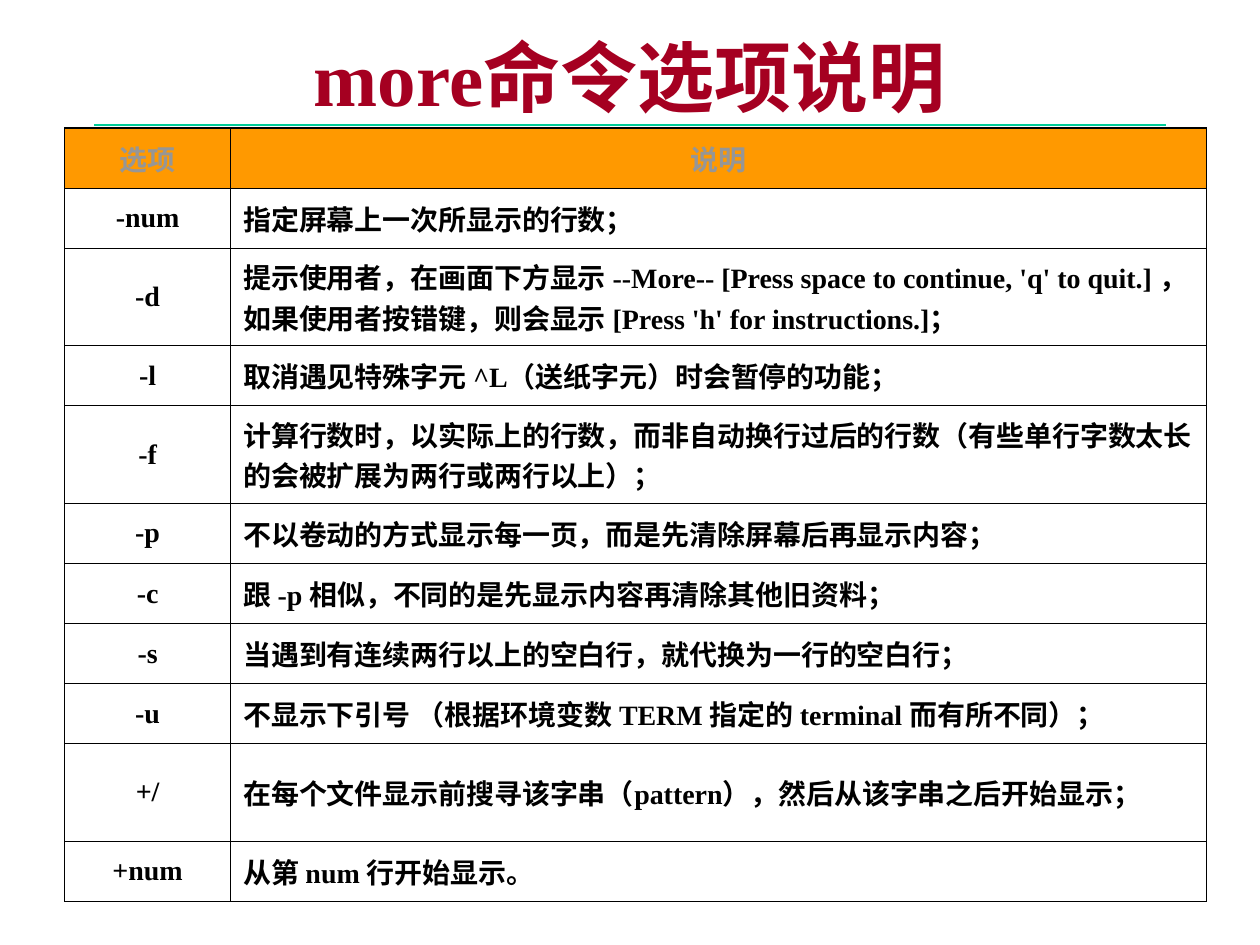
"""Build a slide with a table of the options of the more command."""
from lxml.etree import SubElement
from pptx import Presentation
from pptx.dml.color import RGBColor
from pptx.enum.shapes import MSO_CONNECTOR
from pptx.enum.text import MSO_ANCHOR, PP_ALIGN
from pptx.oxml.ns import qn
from pptx.util import Cm, Pt

TITLE = "more命令选项说明"
HEAD = ("选项", "说明")
ROWS = [
    ("-num", "指定屏幕上一次所显示的行数；"),
    ("-d", "提示使用者，在画面下方显示 --More-- [Press space to continue, 'q' to quit.] "
           "，如果使用者按错键，则会显示 [Press 'h' for instructions.]；"),
    ("-l", "取消遇见特殊字元 ^L（送纸字元）时会暂停的功能；"),
    ("-f", "计算行数时，以实际上的行数，而非自动换行过后的行数"
           "（有些单行字数太长的会被扩展为两行或两行以上）；"),
    ("-p", "不以卷动的方式显示每一页，而是先清除屏幕后再显示内容；"),
    ("-c", "跟 -p 相似，不同的是先显示内容再清除其他旧资料；"),
    ("-s", "当遇到有连续两行以上的空白行，就代换为一行的空白行；"),
    ("-u", "不显示下引号 （根据环境变数 TERM 指定的 terminal 而有所不同）；"),
    ("+/", "在每个文件显示前搜寻该字串（pattern），然后从该字串之后开始显示；"),
    ("+num", "从第 num 行开始显示。"),
]
TALL = {"-d", "-f", "+/"}
WIDTHS = (3.35, 19.66)
LOW, HIGH = 1.21, 1.97
THIN, THICK = 0.45, 0.96
FONT = "Times New Roman"
BLACK, RED, GREEN, GRAY, ORANGE = "000000", "A50021", "00CC99", "969696", "FF9900"


def color(code):
    return RGBColor.from_string(code)


def write(frame, text, size, code, align):
    frame.word_wrap = True
    para = frame.paragraphs[0]
    para.text = text
    para.alignment = align
    font = para.font
    font.name, font.size, font.bold = FONT, Pt(size), True
    font.color.rgb = color(code)


def border(cell, top, base):
    props = cell._tc.get_or_add_tcPr()
    for side, width in (("L", THIN), ("R", THIN), ("T", top), ("B", base)):
        line = SubElement(props, qn(f"a:ln{side}"), w=str(Pt(width)))
        fill = SubElement(line, qn("a:solidFill"))
        SubElement(fill, qn("a:srgbClr"), val=BLACK)


def add_title(slide):
    line = slide.shapes.add_connector(
        MSO_CONNECTOR.STRAIGHT, Cm(1.9), Cm(2.52), Cm(23.5), Cm(2.52))
    line.line.color.rgb = color(GREEN)
    line.line.width = Pt(0.75)
    SubElement(line._element.spPr, qn("a:effectLst"))
    box = slide.shapes.add_textbox(Cm(1.9), Cm(0.53), Cm(21.6), Cm(2))
    box.text_frame.vertical_anchor = MSO_ANCHOR.MIDDLE
    write(box.text_frame, TITLE, 44, RED, PP_ALIGN.CENTER)


def add_grid(slide):
    data = [HEAD, *ROWS]
    highs = [HIGH if row[0] in TALL else LOW for row in data]
    table = slide.shapes.add_table(
        len(data), len(HEAD), Cm(1.3), Cm(2.58), Cm(sum(WIDTHS)), Cm(sum(highs))).table
    table.first_row = table.horz_banding = False
    for col, width in zip(table.columns, WIDTHS):
        col.width = Cm(width)
    last = len(data) - 1
    for r, (row, high) in enumerate(zip(data, highs)):
        table.rows[r].height = Cm(high)
        for c, text in enumerate(row):
            cell = table.cell(r, c)
            cell.vertical_anchor = MSO_ANCHOR.MIDDLE
            border(cell, THICK if r == 0 else THIN, THICK if r == last else THIN)
            if r == 0:
                cell.fill.solid()
                cell.fill.fore_color.rgb = color(ORANGE)
            else:
                cell.fill.background()
            align = PP_ALIGN.LEFT if r and c else PP_ALIGN.CENTER
            write(cell.text_frame, text, 16, BLACK if r else GRAY, align)


def main():
    deck = Presentation()
    deck.slide_width, deck.slide_height = Cm(25.4), Cm(19.05)
    slide = deck.slides.add_slide(deck.slide_layouts[6])
    add_title(slide)
    add_grid(slide)
    deck.save("out.pptx")


if __name__ == "__main__":
    main()
